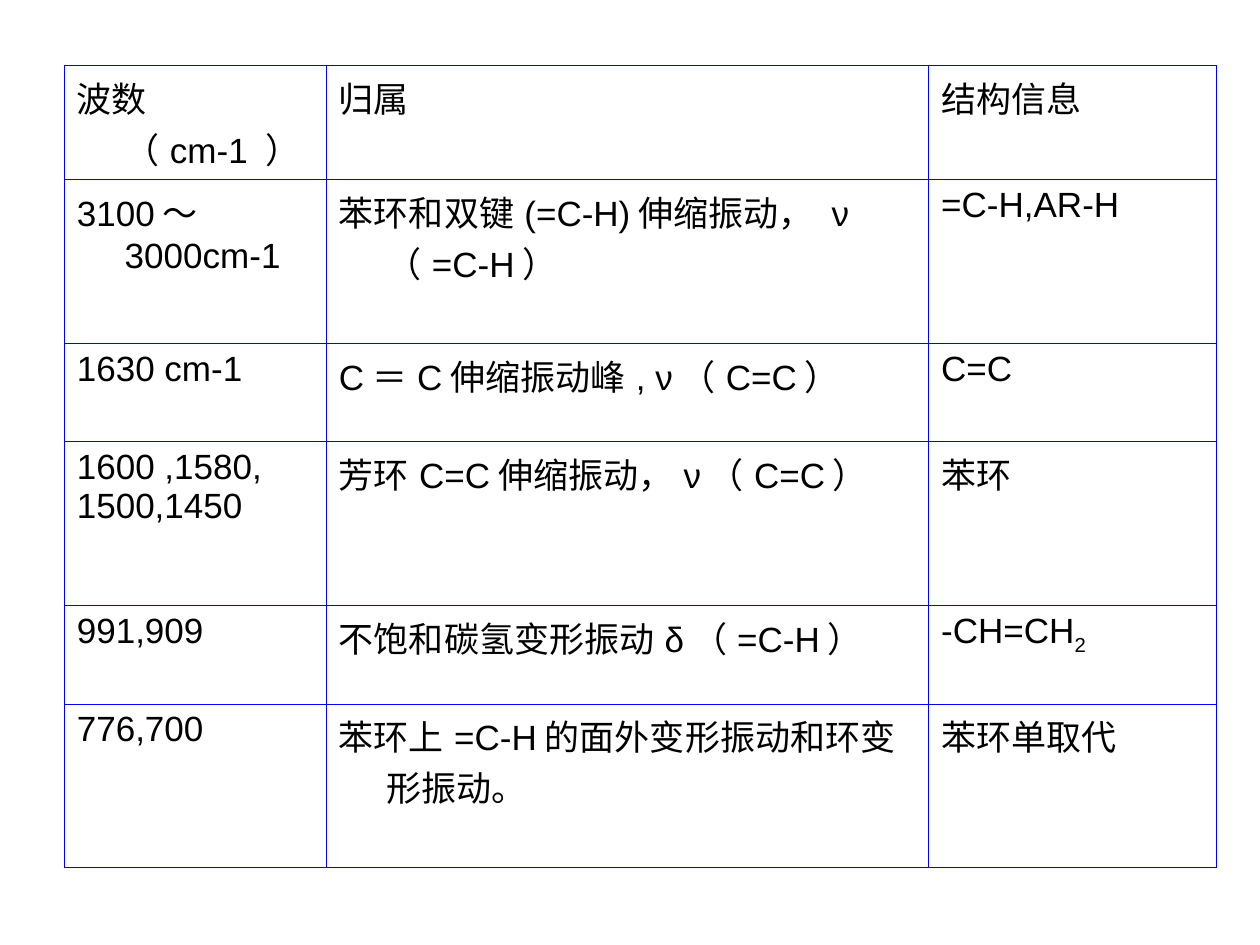
from lxml import etree
from pptx import Presentation
from pptx.dml.color import RGBColor
from pptx.oxml.ns import qn
from pptx.util import Inches, Pt

BLANK_LAYOUT = 6
COLORS = {"text": "000000", "border": "0000FF"}
FONT = "Arial"
TEXT_SIZE = 20
BORDER_WIDTH = 0.45
HANGING_INDENT = 0.38

# Table grid in inches
TABLE_LEFT, TABLE_TOP = 0.51, 0.52
COLUMN_WIDTHS = [2.08, 4.78, 2.28]
SHORT_ROW, TALL_ROW = 0.78, 1.3
ROW_HEIGHTS = [SHORT_ROW, TALL_ROW] * 3

# A line break starts a new paragraph; an underscore starts a subscript
ROWS = [
    ["波数（cm-1 ）", "归属", "结构信息"],
    ["3100～3000cm-1", "苯环和双键(=C-H)伸缩振动， ν（=C-H）", "=C-H,AR-H"],
    ["1630 cm-1", "C＝C伸缩振动峰, ν（C=C）", "C=C"],
    ["1600 ,1580,\n1500,1450", "芳环C=C伸缩振动，ν（C=C）", "苯环"],
    ["991,909", "不饱和碳氢变形振动δ（=C-H）", "-CH=CH_2"],
    ["776,700", "苯环上=C-H的面外变形振动和环变形振动。", "苯环单取代"],
]


def add_run(paragraph, text, size=TEXT_SIZE, color="text", baseline=None):
    run = paragraph.add_run()
    run.text = text
    run.font.name = FONT
    run.font.size = Pt(size)
    run.font.color.rgb = RGBColor.from_string(COLORS[color])
    if baseline is not None:
        run.font._element.set("baseline", str(baseline))


def write_paragraph(paragraph, text):
    properties = paragraph._p.get_or_add_pPr()
    properties.set("marL", str(Inches(HANGING_INDENT)))
    properties.set("indent", str(-Inches(HANGING_INDENT)))
    base, _, subscript = text.partition("_")
    add_run(paragraph, base)
    if subscript:
        add_run(paragraph, subscript, baseline=-25000)


def set_borders(cell):
    properties = cell._tc.get_or_add_tcPr()
    for side in ("lnL", "lnR", "lnT", "lnB"):
        line = etree.SubElement(properties, qn(f"a:{side}"), w=str(Pt(BORDER_WIDTH)))
        fill = etree.SubElement(line, qn("a:solidFill"))
        etree.SubElement(fill, qn("a:srgbClr"), val=COLORS["border"])


def format_cell(cell, text):
    cell.margin_left = cell.margin_right = Inches(0.1)
    cell.margin_top = cell.margin_bottom = Inches(0.05)
    set_borders(cell)
    cell.fill.background()
    frame = cell.text_frame
    for index, line in enumerate(text.split("\n")):
        paragraph = frame.add_paragraph() if index else frame.paragraphs[0]
        write_paragraph(paragraph, line)


def add_spectrum_table(slide):
    table = slide.shapes.add_table(
        len(ROWS), len(COLUMN_WIDTHS), Inches(TABLE_LEFT), Inches(TABLE_TOP),
        Inches(sum(COLUMN_WIDTHS)), Inches(sum(ROW_HEIGHTS))).table
    table.first_row = False
    table.horz_banding = False
    for column, width in zip(table.columns, COLUMN_WIDTHS):
        column.width = Inches(width)
    for row, height, texts in zip(table.rows, ROW_HEIGHTS, ROWS):
        row.height = Inches(height)
        for cell, text in zip(row.cells, texts):
            format_cell(cell, text)


def main():
    presentation = Presentation()
    presentation.slide_width = Inches(10)
    presentation.slide_height = Inches(7.5)
    slide = presentation.slides.add_slide(presentation.slide_layouts[BLANK_LAYOUT])
    add_spectrum_table(slide)
    presentation.save("out.pptx")


if __name__ == "__main__":
    main()
